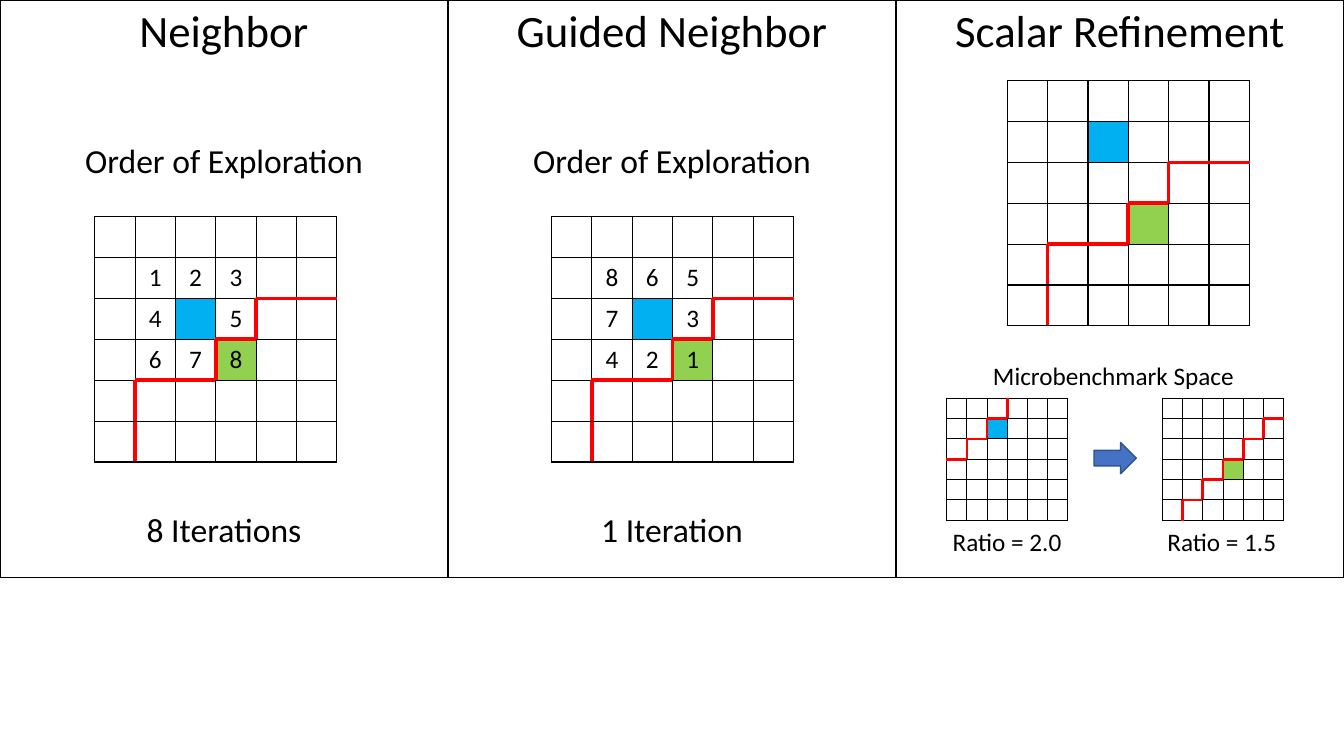
import lxml.etree
import pptx
import pptx.dml.color
import pptx.enum.shapes
import pptx.enum.text
import pptx.oxml.ns
import pptx.util
from pptx.util import Inches

COLORS = {
    "text": "000000", "grid": "000000", "wall": "FF0000", "start": "00B0F0",
    "goal": "92D050", "arrow": "4472C4", "arrow_line": "325491",
}
SIZE = 6


def write(p, text, size=18, align=None, before=0):
    """Fill a paragraph; empty text only sets the size of the empty line."""
    p.alignment = align
    p.space_before = pptx.util.Pt(before)
    if not text:
        end = lxml.etree.SubElement(p._p, pptx.oxml.ns.qn("a:endParaRPr"))
        end.set("sz", str(int(size * 100)))
        return
    r = p.add_run()
    r.text = text
    r.font.size = pptx.util.Pt(size)
    r.font.name = "Calibri"
    r.font.color.rgb = pptx.dml.color.RGBColor.from_string(COLORS["text"])


def set_borders(cell, width, walls=""):
    """Draw all four borders, the sides named in walls in red and 2 or more points wide."""
    tcPr = cell._tc.get_or_add_tcPr()
    for side in "LRTB":
        is_wall = side in walls
        points = width * 3 if is_wall else width
        ln = lxml.etree.SubElement(tcPr, pptx.oxml.ns.qn("a:ln" + side))
        ln.set("w", str(int(pptx.util.Pt(points))))
        fill = lxml.etree.SubElement(ln, pptx.oxml.ns.qn("a:solidFill"))
        color = lxml.etree.SubElement(fill, pptx.oxml.ns.qn("a:srgbClr"))
        color.set("val", COLORS["wall" if is_wall else "grid"])


prs = pptx.Presentation()
prs.slide_width = Inches(13.33)
prs.slide_height = Inches(7.5)
s = prs.slides.add_slide(prs.slide_layouts[6])
center = pptx.enum.text.PP_ALIGN.CENTER

# Three panels: (text, size, space before)
panels = [
    [("Neighbor", 32, 0), ("Order of Exploration", 24, 58.6), ("8 Iterations", 24, 234.4)],
    [("Guided Neighbor", 32, 0), ("Order of Exploration", 24, 58.6), ("1 Iteration", 24, 234.4)],
    [("Scalar Refinement", 32, 0)],
]
table = s.shapes.add_table(1, 3, 0, 0, Inches(13.33), Inches(5.73)).table
table.first_row = table.horz_banding = False
for cell, lines in zip(table.iter_cells(), panels):
    set_borders(cell, 1)
    cell.fill.background()
    tf = cell.text_frame
    for i, (text, size, before) in enumerate(lines):
        p = tf.paragraphs[0] if i == 0 else tf.add_paragraph()
        write(p, text, size=size, align=center, before=before)

# Grids: in each row, the first column that lies beyond the red wall
main_wall = [6, 6, 4, 3, 1, 1]
neighbor_order = {(1, 1): "1", (1, 2): "2", (1, 3): "3", (2, 1): "4",
                  (2, 3): "5", (3, 1): "6", (3, 2): "7", (3, 3): "8"}
guided_order = {(1, 1): "8", (1, 2): "6", (1, 3): "5", (2, 1): "7",
                (2, 3): "3", (3, 1): "4", (3, 2): "2", (3, 3): "1"}
# left, top, cell side, line width, wall, coloured cells, order
grids = [
    (0.94, 2.15, 0.4, 1, main_wall, {(2, 2): "start", (3, 3): "goal"}, neighbor_order),
    (5.47, 2.15, 0.4, 1, main_wall, {(2, 2): "start", (3, 3): "goal"}, guided_order),
    (9.99, 0.8, 0.4, 1, main_wall, {(1, 2): "start", (3, 3): "goal"}, {}),
    (9.39, 3.95, 0.2, 0.75, [3, 2, 1, 0, 0, 0], {(1, 2): "start"}, {}),
    (11.53, 3.95, 0.2, 0.75, [6, 5, 4, 3, 2, 1], {(3, 3): "goal"}, {}),
]
for left, top, side, width, wall, marked, order in grids:
    table = s.shapes.add_table(SIZE, SIZE, Inches(left), Inches(top),
                               Inches(side * SIZE), Inches(side * SIZE)).table
    table.first_row = table.horz_banding = False
    for row in range(SIZE):
        for col in range(SIZE):
            cell = table.cell(row, col)
            beyond = col >= wall[row]
            walls = ""
            for name, r, c in (("L", row, col - 1), ("R", row, col + 1),
                               ("T", row - 1, col), ("B", row + 1, col)):
                inside = 0 <= r < SIZE and 0 <= c < SIZE
                if inside and (c >= wall[r]) != beyond:
                    walls += name
            set_borders(cell, width, walls)
            cell.margin_left = cell.margin_right = Inches(side / 8)
            cell.margin_top = cell.margin_bottom = Inches(side / 8)
            if (row, col) in marked:
                cell.fill.solid()
                cell.fill.fore_color.rgb = pptx.dml.color.RGBColor.from_string(
                    COLORS[marked[row, col]])
            else:
                cell.fill.background()
            write(cell.text_frame.paragraphs[0], order.get((row, col), ""),
                  size=round(side * 45), align=center)

arrow = s.shapes.add_shape(pptx.enum.shapes.MSO_SHAPE.RIGHT_ARROW,
                           Inches(10.85), Inches(4.39), Inches(0.42), Inches(0.31))
arrow.shadow.inherit = False
arrow.fill.solid()
arrow.fill.fore_color.rgb = pptx.dml.color.RGBColor.from_string(COLORS["arrow"])
arrow.line.color.rgb = pptx.dml.color.RGBColor.from_string(COLORS["arrow_line"])
arrow.line.width = pptx.util.Pt(1)

for text, left, top, width in [
    ("Ratio = 2.0", 9.35, 5.17, 1.29),
    ("Ratio = 1.5", 11.48, 5.17, 1.29),
    ("Microbenchmark Space", 9.75, 3.53, 2.62),
]:
    box = s.shapes.add_textbox(Inches(left), Inches(top), Inches(width), Inches(0.4))
    tf = box.text_frame
    tf.word_wrap = False
    tf.auto_size = pptx.enum.text.MSO_AUTO_SIZE.SHAPE_TO_FIT_TEXT
    write(tf.paragraphs[0], text)

prs.save("out.pptx")
